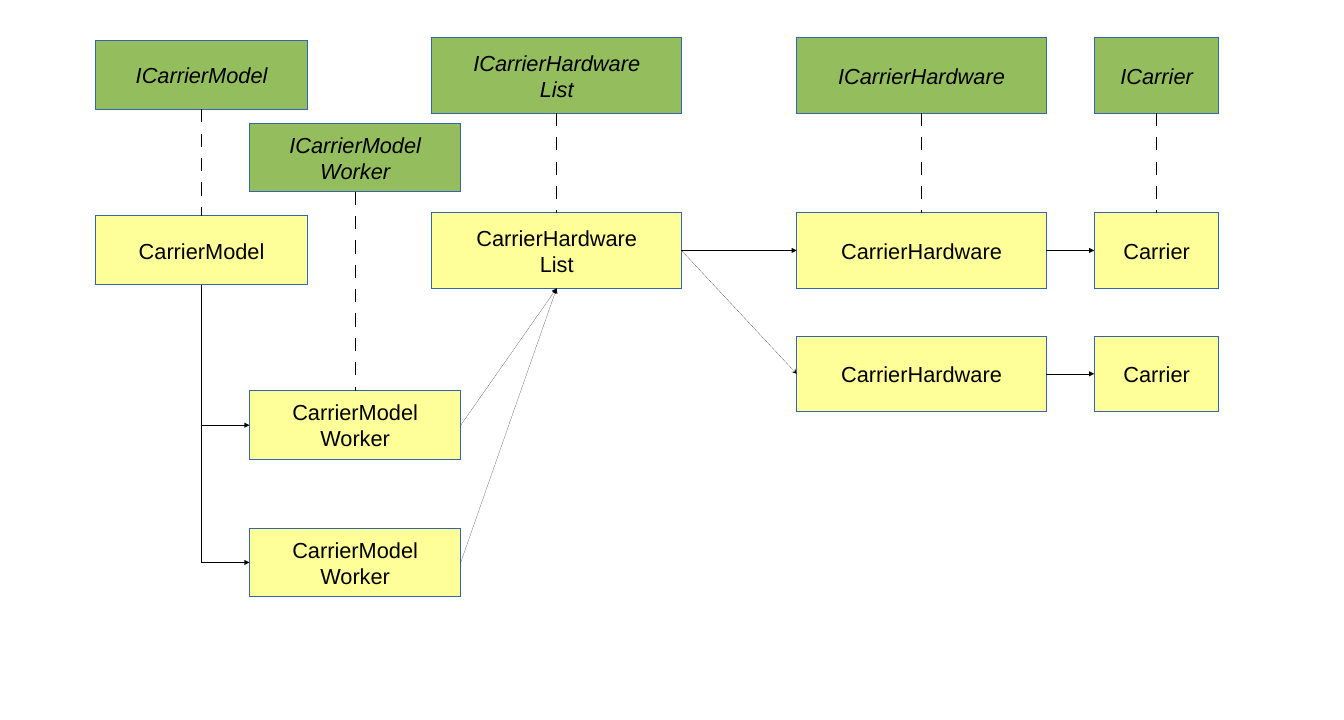
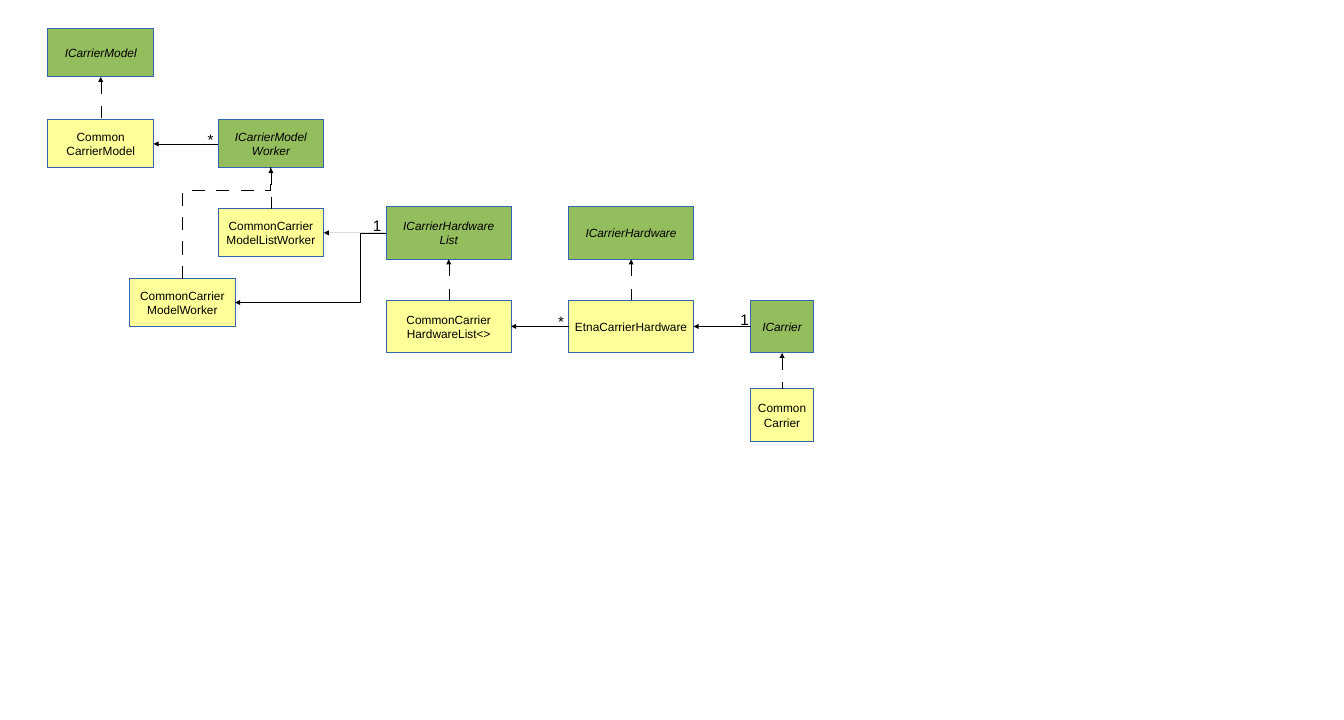
"""Two class diagrams of a carrier model: interfaces in green, classes in yellow."""
from lxml import etree
from pptx import Presentation
from pptx import util as u
from pptx.dml.color import RGBColor
from pptx.enum import shapes, text
from pptx.oxml.ns import qn

INTERFACE, CLASS = "94BD5E", "FFFF99"
BORDER, INK = "3465AF", "000000"
FONT = "Arial"
DASH = "1885000"
TOP, LEFT, BOTTOM, RIGHT = range(4)
STRAIGHT, ELBOW = shapes.MSO_CONNECTOR.STRAIGHT, shapes.MSO_CONNECTOR.ELBOW


def add_box(slide, fill, left, top, size, lines, points):
    box = slide.shapes.add_shape(
        shapes.MSO_SHAPE.RECTANGLE, u.Pt(left), u.Pt(top), u.Pt(size[0]), u.Pt(size[1]))
    box.shadow.inherit = False
    box.fill.solid()
    box.fill.fore_color.rgb = RGBColor.from_string(fill)
    box.line.color.rgb = RGBColor.from_string(BORDER)
    box.line._get_or_add_ln().set("w", "0")
    frame = box.text_frame
    frame.word_wrap = False
    frame.vertical_anchor = text.MSO_ANCHOR.MIDDLE
    for number, line in enumerate(lines):
        paragraph = frame.add_paragraph() if number else frame.paragraphs[0]
        paragraph.alignment = text.PP_ALIGN.CENTER
        run = paragraph.add_run()
        run.text = line
        run.font.name, run.font.size = FONT, u.Pt(points)
        run.font.italic = fill == INTERFACE
        run.font.color.rgb = RGBColor.from_string(INK)
    return box


def add_link(slide, start, start_side, end, end_side,
             kind=STRAIGHT, dashed=False, head=None, tail=None):
    link = slide.shapes.add_connector(kind, 0, 0, 0, 0)
    link.begin_connect(start, start_side)
    link.end_connect(end, end_side)
    link.line.color.rgb = RGBColor.from_string(INK)
    stroke = link.line._get_or_add_ln()
    stroke.set("w", "0")
    if dashed:
        pattern = etree.SubElement(stroke, qn("a:custDash"))
        etree.SubElement(pattern, qn("a:ds"), d=DASH, sp=DASH)
    for tag, arrow in (("a:headEnd", head), ("a:tailEnd", tail)):
        if arrow:
            etree.SubElement(stroke, qn(tag), type=arrow)
    etree.SubElement(link._element.spPr, qn("a:effectLst"))
    return link


prs = Presentation()
prs.slide_width, prs.slide_height = u.Pt(1587.6), u.Pt(850.3)
blank = prs.slide_layouts[6]

overview = prs.slides.add_slide(blank)
model_size, hardware_size, carrier_size = (249.4, 81.4), (294.8, 89.3), (147.4, 89.3)
overview_boxes = {
    "model": (CLASS, 113.4, 255.1, model_size, ["CarrierModel"]),
    "worker 1": (CLASS, 294.8, 461.5, model_size, ["CarrierModel", "Worker"]),
    "worker 2": (CLASS, 294.8, 623.6, model_size, ["CarrierModel", "Worker"]),
    "list": (CLASS, 510.2, 251.1, hardware_size, ["CarrierHardware", "List"]),
    "hardware 1": (CLASS, 941.1, 251.1, hardware_size, ["CarrierHardware"]),
    "hardware 2": (CLASS, 941.1, 396.9, hardware_size, ["CarrierHardware"]),
    "carrier 1": (CLASS, 1292.6, 251.1, carrier_size, ["Carrier"]),
    "carrier 2": (CLASS, 1292.6, 396.9, carrier_size, ["Carrier"]),
    "imodel": (INTERFACE, 113.4, 48.2, model_size, ["ICarrierModel"]),
    "iworker": (INTERFACE, 294.8, 145.4, model_size, ["ICarrierModel", "Worker"]),
    "ilist": (INTERFACE, 510.2, 44.6, hardware_size, ["ICarrierHardware", "List"]),
    "ihardware": (INTERFACE, 941.1, 44.6, hardware_size, ["ICarrierHardware"]),
    "icarrier": (INTERFACE, 1292.6, 44.6, carrier_size, ["ICarrier"]),
}
part = {name: add_box(overview, *values, 25.7) for name, values in overview_boxes.items()}

for interface, implementation in (
        ("imodel", "model"), ("iworker", "worker 1"), ("ilist", "list"),
        ("ihardware", "hardware 1"), ("icarrier", "carrier 1")):
    add_link(overview, part[interface], BOTTOM, part[implementation], TOP, dashed=True)
for owner, owned, arrow in (
        ("list", "hardware 1", "triangle"), ("list", "hardware 2", "stealth"),
        ("hardware 1", "carrier 1", "triangle"), ("hardware 2", "carrier 2", "triangle")):
    add_link(overview, part[owner], RIGHT, part[owned], LEFT, tail=arrow)
for worker in ("worker 1", "worker 2"):
    add_link(overview, part[worker], RIGHT, part["list"], BOTTOM, tail="triangle")
    branch = add_link(overview, part[worker], LEFT, part["model"], BOTTOM, ELBOW, head="triangle")
    branch._element.spPr.find(qn("a:prstGeom")).set("prst", "bentConnector2")

details = prs.slides.add_slide(blank)
model_size, hardware_size, carrier_size = (124.7, 56.7), (147.4, 62.4), (73.7, 62.4)
detail_boxes = {
    "model": (CLASS, 56.7, 141.7, model_size, ["Common", "CarrierModel"]),
    "list worker": (CLASS, 257.7, 246.6, model_size, ["CommonCarrier", "ModelListWorker"]),
    "worker": (CLASS, 153.1, 329, model_size, ["CommonCarrier", "ModelWorker"]),
    "list": (CLASS, 456.4, 354.3, hardware_size, ["CommonCarrier", "HardwareList<>"]),
    "hardware": (CLASS, 671.8, 354.3, hardware_size, ["EtnaCarrierHardware"]),
    "carrier": (CLASS, 887, 459.1, carrier_size, ["Common", "Carrier"]),
    "imodel": (INTERFACE, 56.7, 34, model_size, ["ICarrierModel"]),
    "iworker": (INTERFACE, 257.7, 141.7, model_size, ["ICarrierModel", "Worker"]),
    "ilist": (INTERFACE, 456.4, 244, hardware_size, ["ICarrierHardware", "List"]),
    "ihardware": (INTERFACE, 671.8, 244, hardware_size, ["ICarrierHardware"]),
    "icarrier": (INTERFACE, 887, 354.3, carrier_size, ["ICarrier"]),
}
part = {name: add_box(details, *values, 14) for name, values in detail_boxes.items()}

for interface, implementation in (
        ("imodel", "model"), ("iworker", "list worker"), ("ilist", "list"),
        ("ihardware", "hardware"), ("icarrier", "carrier")):
    add_link(details, part[interface], BOTTOM, part[implementation], TOP,
             dashed=True, head="triangle")
for owner, owned in (
        ("model", "iworker"), ("list worker", "ilist"),
        ("list", "hardware"), ("hardware", "icarrier")):
    add_link(details, part[owner], RIGHT, part[owned], LEFT, head="triangle")

worker_to_list = add_link(details, part["worker"], RIGHT, part["ilist"], LEFT,
                          ELBOW, head="triangle")
worker_to_interface = add_link(details, part["worker"], TOP, part["iworker"], BOTTOM,
                               ELBOW, dashed=True)
for elbow, bend in ((worker_to_list, 82600), (worker_to_interface, 79300)):
    guides = elbow._element.spPr.find(qn("a:prstGeom")).get_or_add_avLst()
    etree.SubElement(guides, qn("a:gd"), name="adj1", fmla=f"val {bend}")

across, rise = worker_to_interface.width, worker_to_interface.height
worker_to_interface.left += (across - rise) // 2
worker_to_interface.top += (rise - across) // 2
worker_to_interface.width, worker_to_interface.height = rise, across
turn = worker_to_interface._element.spPr.find(qn("a:xfrm"))
turn.attrib.pop("flipV", None)
turn.set("rot", "16200000")

for count, left, top, width in (
        ("*", 238.3, 150.5, 20.9), ("1", 433.4, 252, 24.5),
        ("*", 652.3, 365.8, 20.9), ("1", 867.6, 362.9, 24.5)):
    multiplicity = details.shapes.add_textbox(u.Pt(left), u.Pt(top), u.Pt(width), u.Pt(27.4))
    multiplicity.text_frame.word_wrap = False
    run = multiplicity.text_frame.paragraphs[0].add_run()
    run.text = count
    run.font.name, run.font.size = FONT, u.Pt(18)
    run.font.color.rgb = RGBColor.from_string(INK)

prs.save("out.pptx")
